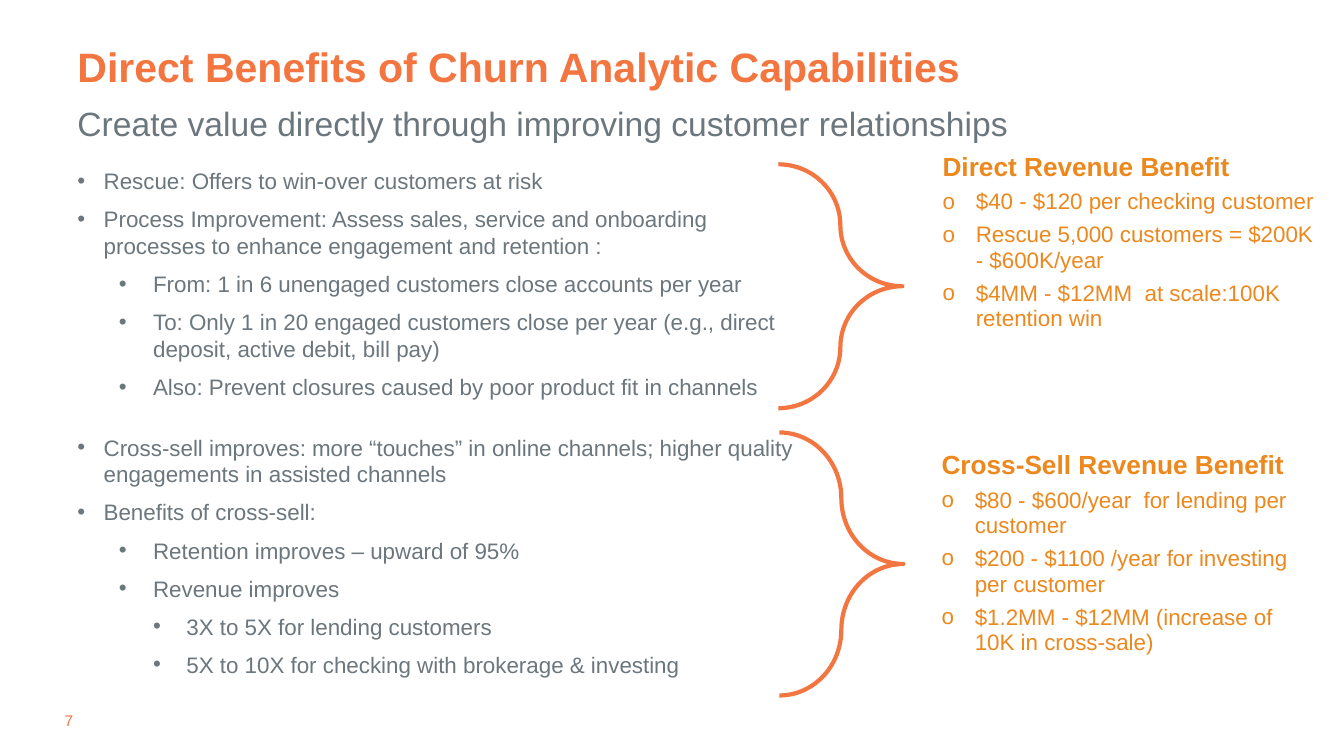
"""Build the slide on the direct benefits of churn analytics."""
from lxml.etree import SubElement
from pptx import Presentation
from pptx.dml.color import RGBColor
from pptx.enum.shapes import MSO_SHAPE as Shape
from pptx.enum.text import MSO_ANCHOR as Anchor, MSO_AUTO_SIZE as Fit
from pptx.oxml.ns import qn
from pptx.util import Inches, Pt

CORAL = RGBColor(0xF3, 0x75, 0x3F)
AMBER = RGBColor(0xEC, 0x88, 0x1D)
SLATE = RGBColor(0x6B, 0x76, 0x7D)

INDENTS = [(0.26, 0.26), (0.75, 0.34), (1.08, 0.33)]
ACTIONS = [
    (0, "Rescue: Offers to win-over customers at risk", 8),
    (0, "Process Improvement: Assess sales, service and onboarding processes "
        "to enhance engagement and retention :", 8),
    (1, "From: 1 in 6 unengaged customers close accounts per year", 8),
    (1, "To: Only 1 in 20 engaged customers close per year "
        "(e.g., direct deposit, active debit, bill pay)", 8),
    (1, "Also: Prevent closures caused by poor product fit in channels", 24),
    (0, "Cross-sell improves: more “touches” in online channels; "
        "higher quality engagements in assisted channels", 8),
    (0, "Benefits of cross-sell:", 8),
    (1, "Retention improves – upward of 95%", 8),
    (1, "Revenue improves", 8),
    (2, "3X to 5X for lending customers", 8),
    (2, "5X to 10X for checking with brokerage & investing", 8),
]
GAINS = [
    ((9.25, 1.46, 3.89, 1.89), (7.72, 1.63, 1.23, 2.42),
     "Direct Revenue Benefit",
     ["$40 - $120 per checking customer",
      "Rescue 5,000 customers = $200K - $600K/year",
      "$4MM - $12MM  at scale:100K retention win"]),
    ((9.24, 4.42, 3.9, 2.14), (7.73, 4.29, 1.23, 2.61),
     "Cross-Sell Revenue Benefit",
     ["$80 - $600/year  for lending per customer",
      "$200 - $1100 /year for investing per customer",
      "$1.2MM - $12MM (increase of 10K in cross-sale)"]),
]


def write(frame, text, size=16, color=SLATE, bold=False, font="Arial",
          line=None, before=0, after=0, mark=None, indent=None, level=0):
    first = frame.paragraphs[0]
    para = frame.add_paragraph() if first.runs else first
    para.level = level
    para.line_spacing = line
    para.space_before, para.space_after = Pt(before), Pt(after)
    run = para.add_run()
    run.text = text
    run.font.name, run.font.size, run.font.bold = font, Pt(size), bold
    run.font.color.rgb = color
    if mark:
        left, hang = indent
        props = para._p.get_or_add_pPr()
        props.set("marL", str(Inches(left)))
        props.set("indent", str(-Inches(hang)))
        SubElement(props, qn("a:buFont")).set("typeface", font)
        SubElement(props, qn("a:buChar")).set("char", mark)


class Deck:
    def __init__(self):
        self.show = Presentation()
        self.show.slide_width = Inches(13.33)
        self.show.slide_height = Inches(7.5)
        self.slide = self.show.slides.add_slide(self.show.slide_layouts[6])

    def box(self, place, anchor=Anchor.TOP, wrap=True, grow=False):
        frame = self.slide.shapes.add_textbox(*map(Inches, place)).text_frame
        frame.word_wrap = wrap
        frame.vertical_anchor = anchor
        frame.auto_size = Fit.SHAPE_TO_FIT_TEXT if grow else Fit.NONE
        return frame

    def brace(self, place):
        shape = self.slide.shapes.add_shape(Shape.RIGHT_BRACE, *map(Inches, place))
        shape.shadow.inherit = False
        shape.adjustments[0] = 1.243
        shape.adjustments[1] = 0.5
        shape.fill.background()
        shape.line.color.rgb = CORAL
        shape.line.width = Pt(3)

    def number(self, place, text):
        frame = self.box(place, wrap=False, grow=True)
        frame.margin_left = frame.margin_right = 0
        frame.margin_top = frame.margin_bottom = 0
        write(frame, text, size=11, color=CORAL)

    def gain(self, place, head, items):
        frame = self.box(place, grow=True)
        style = dict(color=AMBER, line=0.95, before=5.3)
        write(frame, head, size=18.7, bold=True, **style)
        for item in items:
            write(frame, item, mark="o", indent=(0.33, 0.33), **style)


def main():
    deck = Deck()
    deck.number((0.64, 7.05, 0.19, 0.19), "7")
    body = deck.box((0.67, 1.61, 7.38, 5.41))
    for level, text, after in ACTIONS:
        write(body, text, after=after, mark="•",
              indent=INDENTS[level], level=level)
    write(deck.box((0.67, 1.03, 12, 0.51)),
          "Create value directly through improving customer relationships",
          size=24, line=0.85)
    write(deck.box((0.67, 0.19, 12, 0.77), anchor=Anchor.BOTTOM),
          "Direct Benefits of Churn Analytic Capabilities",
          size=29.3, color=CORAL, bold=True, line=0.9)
    for place, brace, head, items in GAINS:
        deck.gain(place, head, items)
        deck.brace(brace)
    deck.show.save("out.pptx")


if __name__ == "__main__":
    main()
